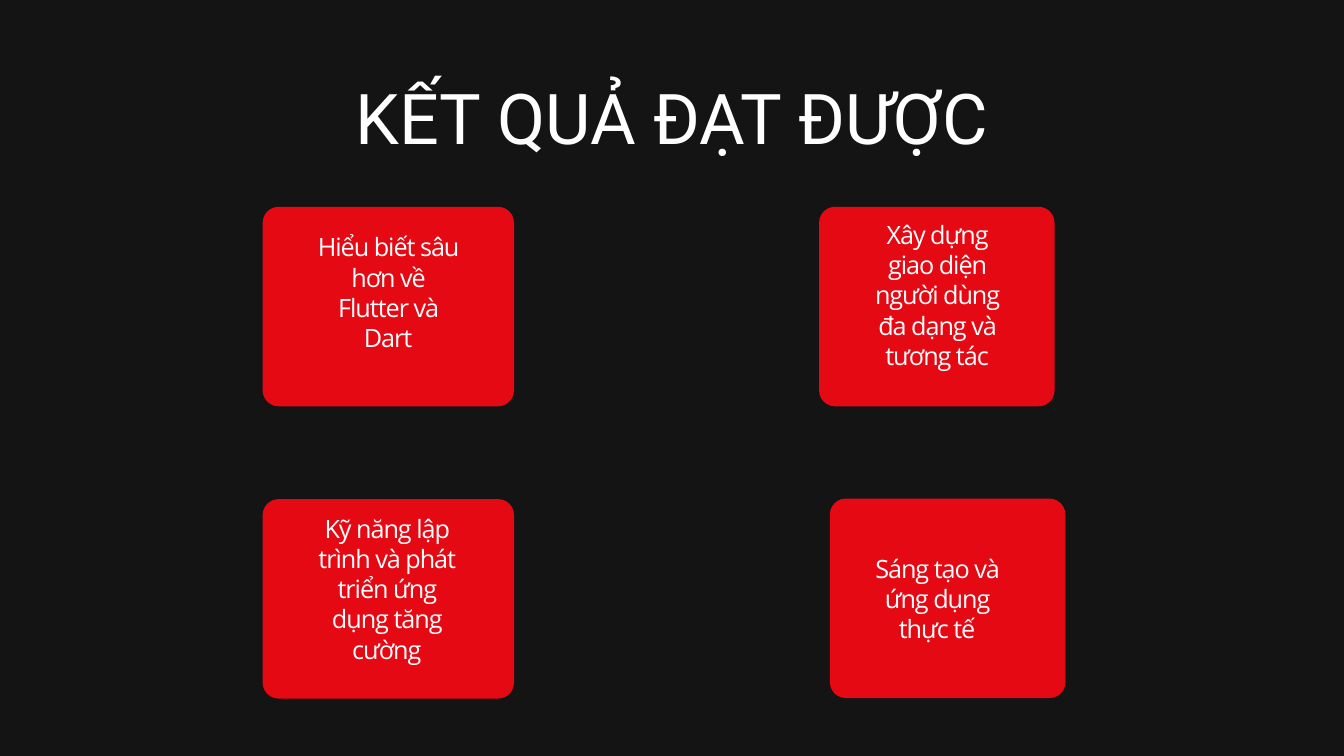
from dataclasses import dataclass

import pptx
import pptx.dml.color
import pptx.enum.shapes
import pptx.enum.text
import pptx.util
from pptx.util import Cm


@dataclass(frozen=True)
class Theme:
    background: str = "141414"
    card: str = "E50914"
    text: str = "FFFFFF"
    title_font: str = "Roboto"
    body_font: str = "Open Sans"
    title_size: float = 75
    body_size: float = 27
    title_line: float = 90
    body_line: float = 32.4


theme = Theme()


def paint(fill, color):
    fill.solid()
    fill.fore_color.rgb = pptx.dml.color.RGBColor.from_string(color)


def add_text(shapes, box, text, font_name, size, line_height, margin=0):
    """Add a centred one-paragraph text box and return it."""
    text_box = shapes.add_textbox(*(Cm(length) for length in box))
    frame = text_box.text_frame
    frame.word_wrap = True
    frame.margin_left = frame.margin_right = Cm(margin)
    frame.margin_top = frame.margin_bottom = Cm(margin)
    paragraph = frame.paragraphs[0]
    paragraph.text = text
    paragraph.alignment = pptx.enum.text.PP_ALIGN.CENTER
    paragraph.line_spacing = pptx.util.Pt(line_height)
    paragraph.font.name = font_name
    paragraph.font.size = pptx.util.Pt(size)
    paragraph.font.color.rgb = pptx.dml.color.RGBColor.from_string(theme.text)
    return text_box


presentation = pptx.Presentation()
presentation.slide_width = Cm(50.8)
presentation.slide_height = Cm(28.58)
slide = presentation.slides.add_slide(presentation.slide_layouts[6])
paint(slide.background.fill, theme.background)

title = add_text(slide.shapes, (3.81, 2.82, 43.15, 3.2), "KẾT QUẢ ĐẠT ĐƯỢC",
                 theme.title_font, theme.title_size, theme.title_line)
title.text_frame.auto_size = pptx.enum.text.MSO_AUTO_SIZE.SHAPE_TO_FIT_TEXT

card_height, corner_radius = 7.54, 0.6
label_width, label_height = 5.66, 4.52

# Card left, top and width, then label left and top, then the wording
results = [
    (30.96, 7.82, 8.9, 32.59, 8.89, "Xây dựng giao diện người dùng đa dạng và tương tác"),
    (31.37, 18.85, 8.9, 32.59, 20.37, "Sáng tạo và ứng dụng thực tế"),
    (9.93, 18.87, 9.5, 11.79, 19.99, "Kỹ năng lập trình và phát triển ứng dụng tăng cường"),
    (9.93, 7.82, 9.5, 11.84, 8.79, "Hiểu biết sâu hơn về Flutter và Dart"),
]
for left, top, width, label_left, label_top, text in results:
    group = slide.shapes.add_group_shape()
    card = group.shapes.add_shape(pptx.enum.shapes.MSO_SHAPE.ROUNDED_RECTANGLE,
                                  Cm(left), Cm(top), Cm(width), Cm(card_height))
    card.adjustments[0] = corner_radius / card_height
    card.shadow.inherit = False
    paint(card.fill, theme.card)
    card.line.fill.background()

    label = add_text(group.shapes, (label_left, label_top, label_width, label_height), text,
                     theme.body_font, theme.body_size, theme.body_line, margin=0.15)
    label.text_frame.vertical_anchor = pptx.enum.text.MSO_ANCHOR.MIDDLE
    # Tighten the letter spacing by 1.1 pt
    for run in label.text_frame.paragraphs[0].runs:
        run._r.get_or_add_rPr().set("spc", "-110")

presentation.save("out.pptx")
